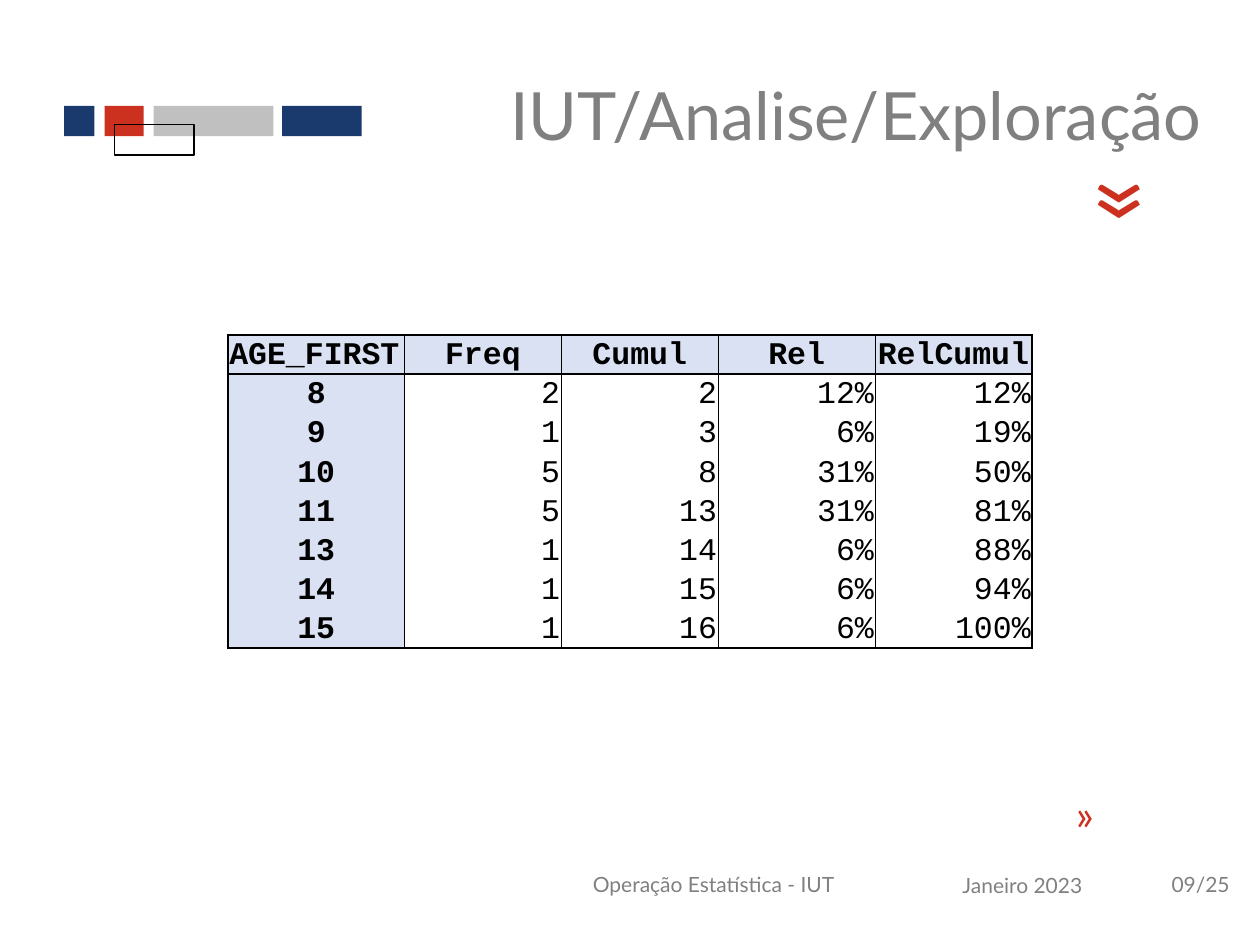
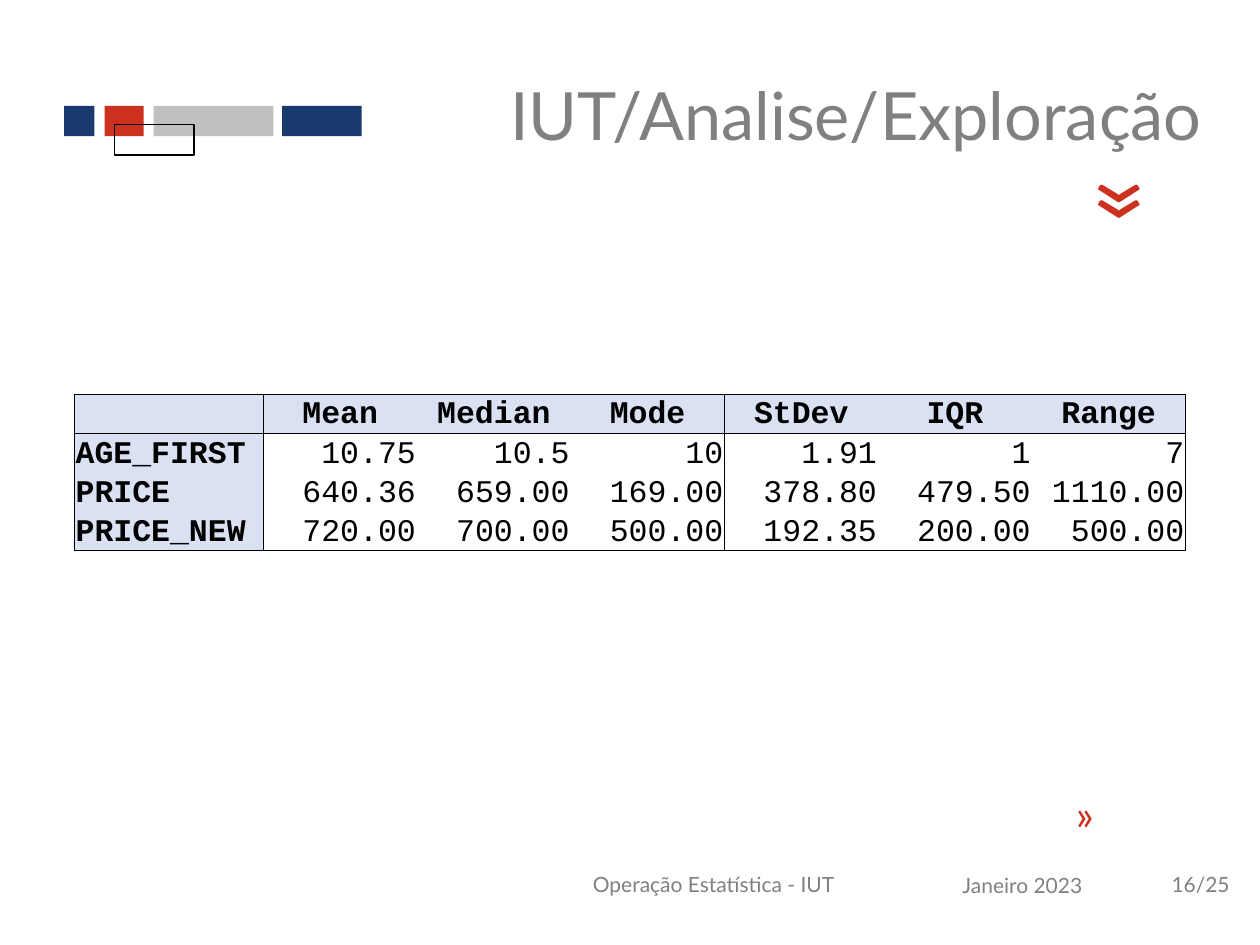
"""Build two slides with frequency and summary statistics tables."""
import pptx
import pptx.dml.color
import pptx.enum.shapes
import pptx.enum.text
import pptx.oxml
import pptx.oxml.ns
import pptx.util

Inches = pptx.util.Inches
Pt = pptx.util.Pt
Align = pptx.enum.text.PP_ALIGN
Anchor = pptx.enum.text.MSO_ANCHOR

COLORS = {"blue": "1A3A6E", "red": "CC301F", "silver": "C0C0C0",
          "gray": "808080", "black": "000000", "header": "D9E1F2"}
TITLE = "IUT/Analise/Exploração"
PAGE_COUNT = "/25"
ROW_HEIGHT = 0.31

BAND = [
    (0.51, 0.84, 0.24, "blue"),
    (0.83, 0.84, 0.31, "red"),
    (1.22, 0.84, 0.95, "silver"),
    (2.24, 0.84, 0.63, "blue"),
    (0.91, 0.99, 0.63, None),
]
LABELS = [
    ("Operação Estatística - IUT", 4.13, 6.74, 3.07, 0.55, 12, "gray", 0),
    ("Janeiro 2023", 7.2, 6.75, 1.83, 0.55, 12, "gray", 0),
    ("»", 8.36, 6.21, 0.5, 0.5, 24, "red", 0),
    ("»", 8.72, 1.04, 0.55, 1.1, 60, "red", 90),
]
SLIDES = [
    {
        "page": "09", "left": 1.81, "top": 2.66, "width": 6.38,
        "label_width": 1.4, "rules_after": {0, 1, 2, 3},
        "corner_align": Align.LEFT, "label_align": Align.CENTER,
        "rows": [
            ["AGE_FIRST", "Freq", "Cumul", "Rel", "RelCumul"],
            ["8", "2", "2", "12%", "12%"],
            ["9", "1", "3", "6%", "19%"],
            ["10", "5", "8", "31%", "50%"],
            ["11", "5", "13", "31%", "81%"],
            ["13", "1", "14", "6%", "88%"],
            ["14", "1", "15", "6%", "94%"],
            ["15", "1", "16", "6%", "100%"],
        ],
    },
    {
        "page": "16", "left": 0.59, "top": 3.13, "width": 8.82,
        "label_width": 1.5, "rules_after": {0, 3},
        "corner_align": Align.LEFT, "label_align": Align.LEFT,
        "rows": [
            ["", "Mean", "Median", "Mode", "StDev", "IQR", "Range"],
            ["AGE_FIRST", "10.75", "10.5", "10", "1.91", "1", "7"],
            ["PRICE", "640.36", "659.00", "169.00", "378.80", "479.50", "1110.00"],
            ["PRICE_NEW", "720.00", "700.00", "500.00", "192.35", "200.00", "500.00"],
        ],
    },
]


def write(paragraph, text, size, color, align, font="Lato", bold=False):
    paragraph.alignment = align
    run = paragraph.add_run()
    run.text = text
    run.font.name = font
    run.font.size = Pt(size)
    run.font.bold = bold
    run.font.color.rgb = pptx.dml.color.RGBColor.from_string(COLORS[color])


def add_border(cell, side, width):
    namespace = pptx.oxml.ns.nsdecls("a")
    paint = (f'<a:solidFill><a:srgbClr val="{COLORS["black"]}"/></a:solidFill>'
             if width else "<a:noFill/>")
    line = f'<a:ln{side} {namespace} w="{Pt(width)}">{paint}</a:ln{side}>'
    cell._tc.get_or_add_tcPr().append(pptx.oxml.parse_xml(line))


presentation = pptx.Presentation()
presentation.slide_width = Inches(10)
presentation.slide_height = Inches(7.5)

for content in SLIDES:
    slide = presentation.slides.add_slide(presentation.slide_layouts[5])

    for left, top, width, color in BAND:
        shape = slide.shapes.add_shape(
            pptx.enum.shapes.MSO_SHAPE.RECTANGLE,
            Inches(left), Inches(top), Inches(width), Inches(0.24))
        shape.shadow.inherit = False
        if color:
            shape.fill.solid()
            shape.fill.fore_color.rgb = pptx.dml.color.RGBColor.from_string(COLORS[color])
            shape.line.fill.background()
        else:
            shape.fill.background()
            shape.line.color.rgb = pptx.dml.color.RGBColor.from_string(COLORS["black"])
            shape.line.width = Pt(0.75)

    page_label = (content["page"] + PAGE_COUNT, 9.2, 6.74, 0.8, 0.55, 12, "gray", 0)
    for text, left, top, width, height, size, color, rotation in LABELS + [page_label]:
        box = slide.shapes.add_textbox(
            Inches(left), Inches(top), Inches(width), Inches(height))
        box.rotation = rotation
        frame = box.text_frame
        frame.word_wrap = True
        frame.vertical_anchor = Anchor.MIDDLE if color == "gray" else Anchor.TOP
        align = Align.LEFT if text.endswith(PAGE_COUNT) else Align.CENTER
        write(frame.paragraphs[0], text, size, color, align)

    title = slide.shapes.title
    title.left, title.top = Inches(3.03), Inches(0.44)
    title.width, title.height = Inches(6.61), Inches(0.93)
    title.text_frame.vertical_anchor = Anchor.MIDDLE
    write(title.text_frame.paragraphs[0], TITLE, 38, "gray", Align.RIGHT)

    rows = content["rows"]
    last_row, last_column = len(rows) - 1, len(rows[0]) - 1
    table = slide.shapes.add_table(
        len(rows), len(rows[0]), Inches(content["left"]), Inches(content["top"]),
        Inches(content["width"]), Inches(ROW_HEIGHT * len(rows))).table
    table.first_row = False
    table.horz_banding = False
    value_width = (content["width"] - content["label_width"]) / last_column
    for index, column in enumerate(table.columns):
        column.width = Inches(value_width if index else content["label_width"])

    rule_widths = {index: 0.5 for index in content["rules_after"]}
    rule_widths.update({-1: 1, 0: 1, last_column: 1})
    for row_index, values in enumerate(rows):
        table.rows[row_index].height = Inches(ROW_HEIGHT)
        for column_index, value in enumerate(values):
            cell = table.cell(row_index, column_index)
            cell.margin_left = cell.margin_right = cell.margin_top = Inches(0.01)
            cell.margin_bottom = 0
            cell.vertical_anchor = Anchor.BOTTOM
            add_border(cell, "L", rule_widths.get(column_index - 1, 0))
            add_border(cell, "R", rule_widths.get(column_index, 0))
            add_border(cell, "T", 1 if row_index in (0, 1) else 0)
            add_border(cell, "B", 1 if row_index in (0, last_row) else 0)

            is_heading = row_index == 0 or column_index == 0
            if is_heading:
                cell.fill.solid()
                cell.fill.fore_color.rgb = pptx.dml.color.RGBColor.from_string(COLORS["header"])
            else:
                cell.fill.background()
            if row_index == 0:
                align = Align.CENTER if column_index else content["corner_align"]
            else:
                align = Align.RIGHT if column_index else content["label_align"]
            if value:
                write(cell.text_frame.paragraphs[0], value, 18, "black", align,
                      "Courier New", is_heading)

presentation.save("out.pptx")
